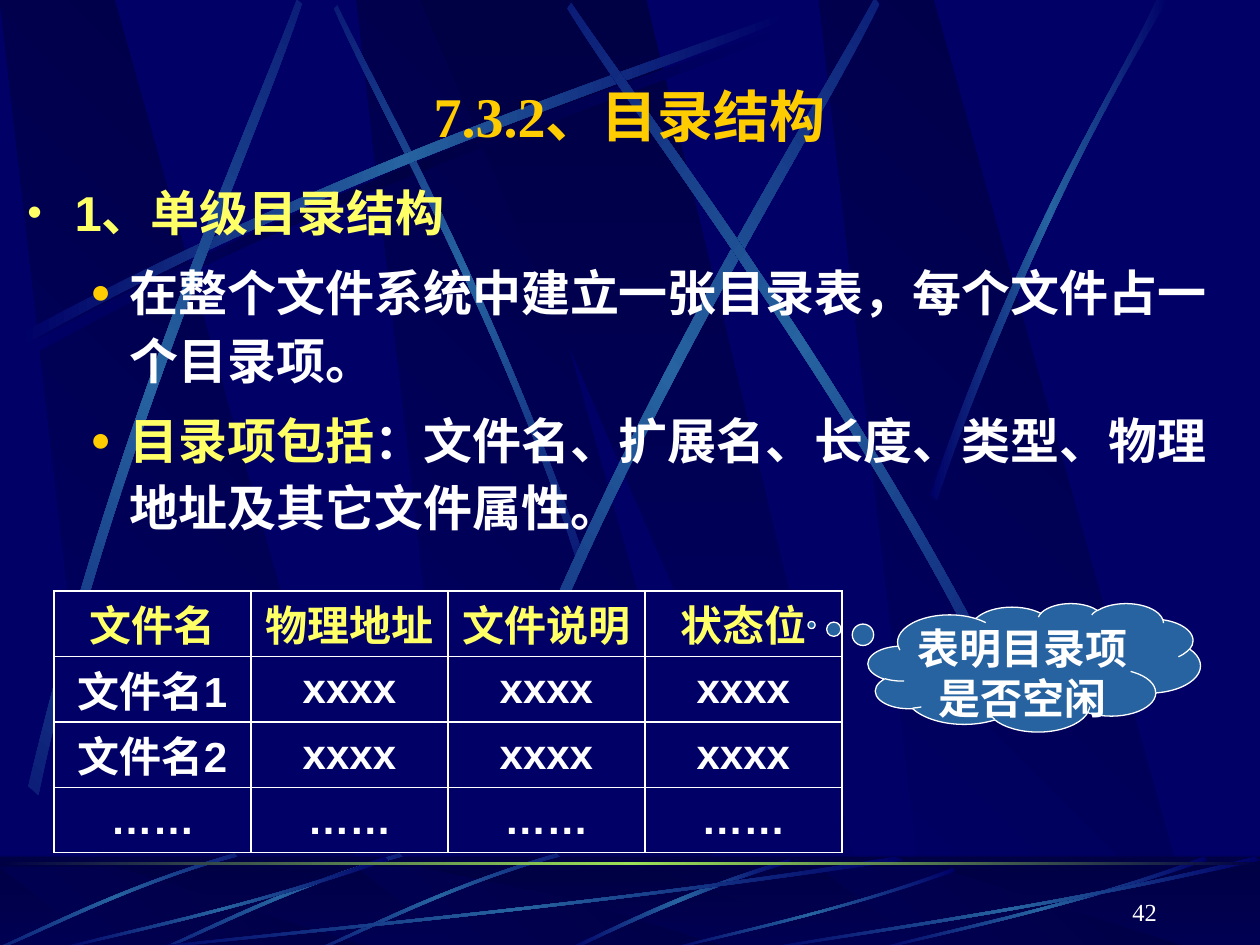
from lxml.etree import SubElement
from pptx import Presentation
from pptx.dml.color import RGBColor
from pptx.enum.shapes import MSO_SHAPE as SHAPE
from pptx.enum.text import MSO_ANCHOR as ANCHOR, MSO_AUTO_SIZE as AUTO_SIZE, PP_ALIGN as ALIGN
from pptx.oxml.ns import qn
from pptx.util import Cm, Pt

COLORS = {
    "navy": "000066", "dark": "000044", "blue": "2663A0", "green": "9CE157",
    "gold": "FFCC00", "yellow": "FFFF66", "white": "FFFFFF",
}


def write(para, text, font="Arial", size=24, color="white", bold=True, align=None):
    span = para.add_run()
    span.text = text
    span.font.name = font
    span.font.size = Pt(size)
    span.font.bold = bold
    span.font.color.rgb = RGBColor.from_string(COLORS[color])
    if align is not None:
        para.alignment = align


def paint_gradient(shape, names, angle):
    shape.shadow.inherit = False
    shape.line.fill.background()
    shape.fill.gradient()
    shape.fill.gradient_angle = -angle % 360
    stops = shape._element.spPr.find(qn("a:gradFill")).find(qn("a:gsLst"))
    for stop in list(stops):
        stops.remove(stop)
    for index, name in enumerate(names):
        stop = SubElement(stops, qn("a:gs"), pos=str(100000 * index // (len(names) - 1)))
        SubElement(stop, qn("a:srgbClr"), val=COLORS[name])


deck = Presentation()
deck.slide_width, deck.slide_height = Cm(25.4), Cm(19.05)
page = deck.slides.add_slide(deck.slide_layouts[1])
page.background.fill.solid()
page.background.fill.fore_color.rgb = RGBColor.from_string(COLORS["navy"])
shapes = page.shapes

# Each outline holds two cubic curves as fractions of the box; a negative width mirrors it.
ARCH = [(0, .96), (.43, .43), (.83, .15), (1, 0), (1, .02), (.83, .19), (.38, .5), (0, 1)]
HORN = [(0, .99), (.4, .44), (.79, .17), (.95, 0), (1, 0), (.52, .37), (.16, .81), (.03, 1)]
RISE = [(.99, 0), (.49, .37), (.16, .82), (0, .99), (.03, 1), (.23, .75), (.68, .25), (1, .04)]
SWEEP = [(1, .04), (.57, .57), (.17, .85), (.01, 1), (0, .99), (.17, .81), (.62, .51), (.99, 0)]

sky_rays = [
    (ARCH, .51, .46, 15.47, 6.78, "dark", 0),
    (ARCH, 14.81, 3.43, -11.23, 4.45, "blue", 45),
    (ARCH, .36, .25, 15.47, 6.78, "blue", 0),
    (ARCH, -4.34, 4.62, 15.44, 6.78, "blue", 311.7),
    (ARCH, 5.87, 4.06, 15.85, 7.65, "blue", 321.6),
    (ARCH, 23.64, 3.86, -15.44, 6.78, "blue", 34.8),
    (HORN, 18.75, 0, 4.8, 10.08, "blue", 0),
]
floor_rays = [(RISE, 11.38, 17.32, 4.57, 1.85, "blue", 0)]
floor_rays += [(ARCH, right, 17.12, -4.67, 2.11, "blue", 314.9) for right in (11.22, 8.05, 4.72)]
floor_rays += [
    (SWEEP, left, top, width, 19.17 - top, "blue", 0)
    for left, top, width in ((2.54, 17.27, 15.67), (1.07, 17.27, 6.76), (13.39, 17.5, 5.87),
                             (17.58, 17.27, 6.76), (15.24, 17.27, 10.16))
]

SLAB = [(2.18, 1), (7.67, 1), (2.31, 0), (0, 0)]
WEDGE = [(0, 0), (8.26, 1), (9.17, 1), (4.57, 0)]
slabs = [(SLAB, left, ("navy", "dark"), 315) for left in (7.19, 0, 16.51)]
slabs.append((WEDGE, 8.46, ("dark", "navy"), 90))

for top, height, rays in ((0, 19.1, sky_rays), (17.48, 1.69, floor_rays)):
    if rays is floor_rays:
        floor = shapes.add_shape(SHAPE.RECTANGLE, 0, Cm(17.27), Cm(25.4), Cm(1.9))
        paint_gradient(floor, ("dark", "navy"), 90)
    for outline, left, names, angle in slabs:
        corners = [(Cm(left + x), Cm(top + height * y)) for x, y in outline]
        builder = shapes.build_freeform(*corners[0])
        builder.add_line_segments(corners[1:], close=True)
        paint_gradient(builder.convert_to_shape(), names, angle)
    if rays is floor_rays:
        veil = shapes.add_shape(SHAPE.RECTANGLE, 0, Cm(17.25), Cm(25.4), Cm(1.9))
        veil.shadow.inherit = False
        veil.line.fill.background()
        veil.fill.solid()
        veil.fill.fore_color.rgb = RGBColor.from_string(COLORS["dark"])
        shade = veil._element.spPr.find(qn("a:solidFill"))[0]
        SubElement(shade, qn("a:alpha"), val="50000")
    for outline, left, ray_top, width, ray_height, middle, turn in rays:
        points = [(Cm(left + width * x), Cm(ray_top + ray_height * y)) for x, y in outline]
        builder = shapes.build_freeform(*points[0])
        builder.add_line_segments(points[1:], close=True)
        ray = builder.convert_to_shape()
        segments = list(ray._element.spPr.iter(qn("a:lnTo")))
        for trio in (segments[:3], segments[4:]):
            curve = SubElement(trio[0].getparent(), qn("a:cubicBezTo"))
            trio[0].addprevious(curve)
            for segment in trio:
                curve.append(segment[0])
                segment.getparent().remove(segment)
        paint_gradient(ray, ("navy", middle, "navy"), 0)
        ray.rotation = turn

horizon = shapes.add_shape(SHAPE.RECTANGLE, 0, Cm(17.37), Cm(25.4), Cm(.06))
paint_gradient(horizon, ("dark", "green", "dark"), 0)

title, body = shapes.title, page.placeholders[1]
for box, area in ((title, (1.9, 1.52, 21.6, 1.6)), (body, (.3, 3.38, 24.51, 7.75))):
    box.left, box.top, box.width, box.height = [Cm(length) for length in area]
    box.text_frame.auto_size = AUTO_SIZE.NONE
    shapes._spTree.append(box._element)
title.text_frame.vertical_anchor = ANCHOR.MIDDLE
write(title.text_frame.paragraphs[0], "7.3.2、目录结构", font="Times New Roman",
      size=32, color="gold", align=ALIGN.CENTER)

points = [
    (0, [("1、单级目录结构", "yellow")]),
    (1, [("在整个文件系统中建立一张目录表，每个文件占一个目录项。", "white")]),
    (1, [("目录项包括", "yellow"), ("：文件名、扩展名、长度、类型、物理地址及其它文件属性。", "white")]),
]
bullets = [(.95, -.95, "yellow", 85, "•"), (2.06, -.79, "gold", 70, "●")]
body.text_frame.vertical_anchor = ANCHOR.TOP
for index, (level, spans) in enumerate(points):
    para = body.text_frame.add_paragraph() if index else body.text_frame.paragraphs[0]
    para.level = level
    para.line_spacing = 1.15
    para.space_before = Pt(7)
    margin, indent, color, percent, mark = bullets[level]
    props = para._p.get_or_add_pPr()
    props.set("marL", str(Cm(margin)))
    props.set("indent", str(Cm(indent)))
    SubElement(SubElement(props, qn("a:buClr")), qn("a:srgbClr"), val=COLORS[color])
    SubElement(props, qn("a:buSzPct"), val=str(percent * 1000))
    SubElement(props, qn("a:buFont"), typeface="Arial")
    SubElement(props, qn("a:buChar"), char=mark)
    for text, color in spans:
        write(para, text, size=28, color=color)

TIMES = "Times New Roman"
rows = [
    [[(text, TIMES)] for text in ("文件名", "物理地址", "文件说明", "状态位")],
    [[("文件名", TIMES), ("1", "Arial")]] + [[("xxxx", "Arial")]] * 3,
    [[("文件名", TIMES), ("2", "Arial")]] + [[("xxxx", "Arial")]] * 3,
    [[("……", "Arial")]] * 4,
]
table = shapes.add_table(4, 4, Cm(1.09), Cm(11.91), Cm(15.88), Cm(5.28)).table
for column in table.columns:
    column.width = Cm(3.97)
for row, entries in zip(table.rows, rows):
    row.height = Cm(1.32)
    for cell, spans in zip(row.cells, entries):
        cell.margin_left = cell.margin_right = Cm(.1)
        cell.margin_top = cell.margin_bottom = 0
        cell.vertical_anchor = ANCHOR.MIDDLE
        for side in ("a:lnL", "a:lnR", "a:lnT", "a:lnB"):
            edge = SubElement(cell._tc.get_or_add_tcPr(), qn(side), w=str(Pt(1)))
            SubElement(SubElement(edge, qn("a:solidFill")), qn("a:srgbClr"), val=COLORS["white"])
        cell.fill.solid()
        cell.fill.fore_color.rgb = RGBColor.from_string(COLORS["navy"])
        for text, font in spans:
            write(cell.text_frame.paragraphs[0], text, font=font, align=ALIGN.CENTER,
                  color="yellow" if entries is rows[0] else "white")

cloud = shapes.add_shape(SHAPE.CLOUD_CALLOUT, Cm(17.5), Cm(12.16), Cm(6.7), Cm(2.59))
cloud.adjustments[0], cloud.adjustments[1] = -.67, -.33
cloud.shadow.inherit = False
cloud.fill.solid()
cloud.fill.fore_color.rgb = RGBColor.from_string(COLORS["blue"])
cloud.line.color.rgb = RGBColor.from_string(COLORS["white"])
cloud.line.width = Pt(.75)
frame = cloud.text_frame
frame.margin_left = frame.margin_right = frame.margin_top = frame.margin_bottom = 0
frame.vertical_anchor = ANCHOR.TOP
write(frame.paragraphs[0], "表明目录项是否空闲", font=TIMES, align=ALIGN.CENTER)

number = shapes.add_textbox(Cm(18.29), Cm(17.53), Cm(5.28), Cm(1.27))
number.text_frame.word_wrap = True
number.text_frame.vertical_anchor = ANCHOR.BOTTOM
write(number.text_frame.paragraphs[0], "42", font=TIMES, size=14, bold=False, align=ALIGN.RIGHT)

deck.save("out.pptx")
